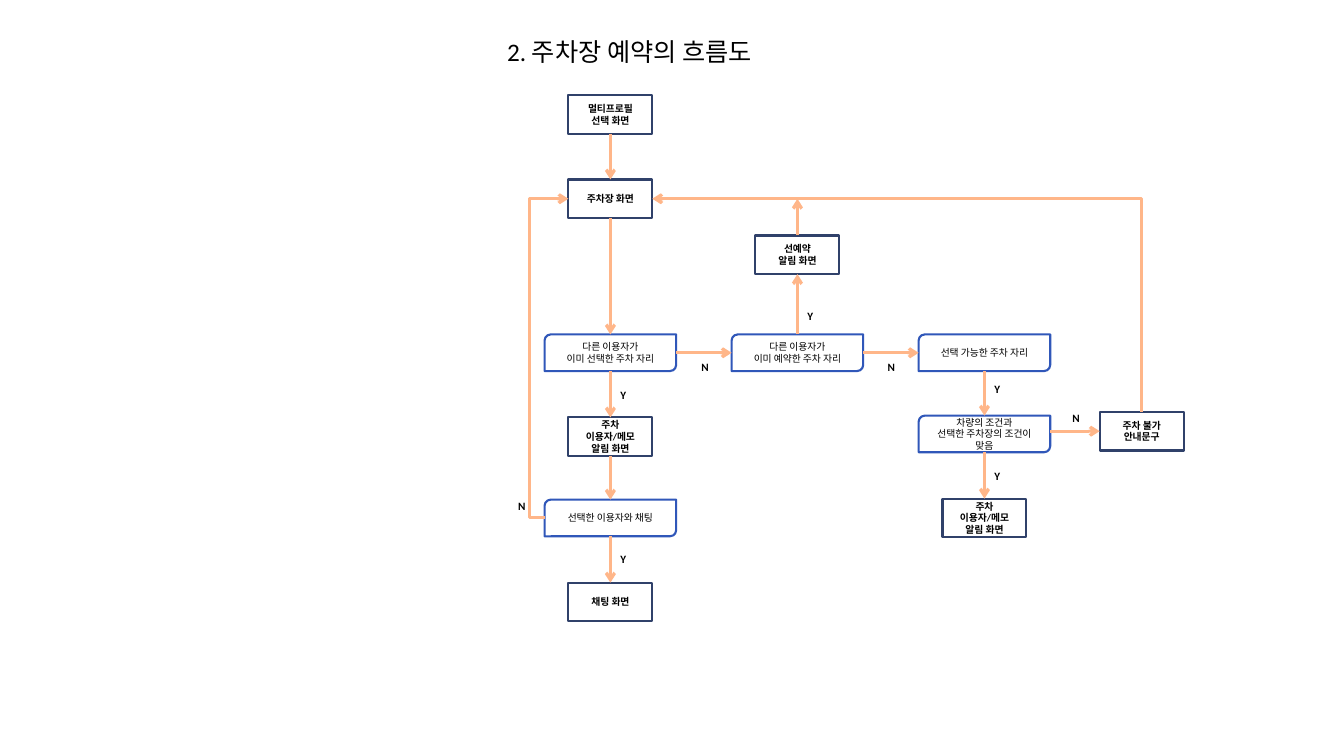
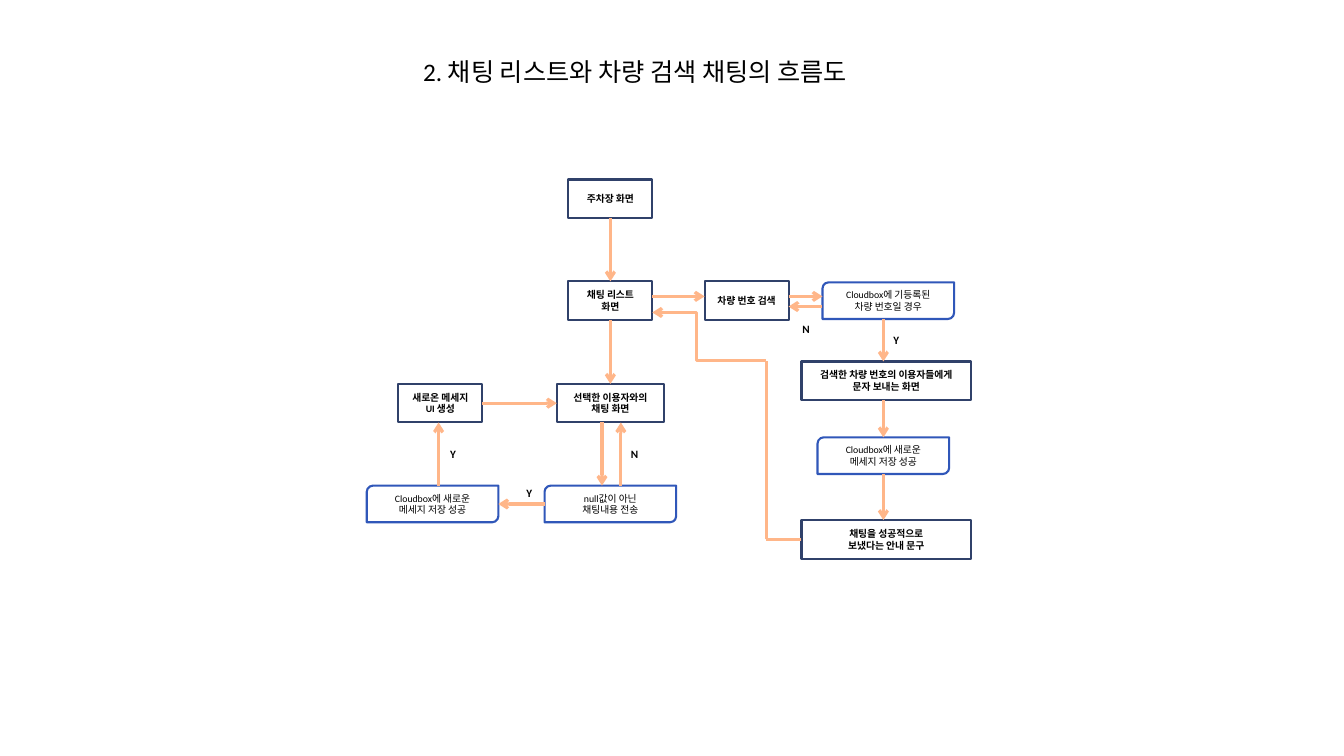
from dataclasses import dataclass

from lxml.etree import SubElement
from pptx import Presentation
from pptx.dml.color import RGBColor
from pptx.enum.shapes import MSO_CONNECTOR, MSO_SHAPE
from pptx.enum.text import MSO_ANCHOR, MSO_AUTO_SIZE, PP_ALIGN
from pptx.oxml.ns import qn
from pptx.util import Pt


@dataclass(frozen=True)
class Theme:
    font: str = "Calibri"
    ink: str = "000000"
    paper: str = "FFFFFF"
    screen_line: str = "30416A"
    decision_line: str = "3057B9"
    arrow: str = "FFB689"
    title_size: float = 18
    node_size: float = 7
    label_size: float = 8
    outline: float = 1.5
    arrow_width: float = 2.25


# Each side: share of width, share of height
SIDES = {"t": (0.5, 0), "l": (0, 0.5), "b": (0.5, 1), "r": (1, 0.5)}
# Order of the connection sites on each preset
SITES = {MSO_SHAPE.RECTANGLE: "tlbr", MSO_SHAPE.ROUND_2_DIAG_RECTANGLE: "rblt"}


def side_point(sp, side):
    fx, fy = SIDES[side]
    return (sp.left + sp.width * fx) / Pt(1), (sp.top + sp.height * fy) / Pt(1)


class FlowSlide:
    def __init__(self, prs, theme):
        self.theme = theme
        self.s = prs.slides.add_slide(prs.slide_layouts[5])

    def set_text(self, tf, text, size, bold=False, align=PP_ALIGN.LEFT):
        fmt = {"name": self.theme.font, "size": Pt(size), "bold": bold}
        for i, line in enumerate(text.split("\n")):
            p = tf.paragraphs[0] if i == 0 else tf.add_paragraph()
            p.alignment = align
            r = p.add_run()
            r.text = line
            for key, value in fmt.items():
                setattr(r.font, key, value)
            r.font.color.rgb = RGBColor.from_string(self.theme.ink)

    def title(self, text, x, y, w):
        sp = self.s.shapes.title
        box = {"left": x, "top": y, "width": w, "height": 29}
        for key, value in box.items():
            setattr(sp, key, Pt(value))
        frame = {"word_wrap": True, "auto_size": MSO_AUTO_SIZE.NONE,
                 "vertical_anchor": MSO_ANCHOR.TOP}
        for key, value in frame.items():
            setattr(sp.text_frame, key, value)
        self.set_text(sp.text_frame, text, self.theme.title_size)

    def node(self, kind, text, cx, cy, w, h, line, bold):
        sp = self.s.shapes.add_shape(
            kind, Pt(cx - w / 2), Pt(cy - h / 2), Pt(w), Pt(h))
        sp.shadow.inherit = False
        sp.fill.solid()
        sp.fill.fore_color.rgb = RGBColor.from_string(self.theme.paper)
        sp.line.color.rgb = RGBColor.from_string(line)
        sp.line.width = Pt(self.theme.outline)
        tf = sp.text_frame
        tf.word_wrap = True
        tf.vertical_anchor = MSO_ANCHOR.MIDDLE
        self.set_text(tf, text, self.theme.node_size, bold, PP_ALIGN.CENTER)
        return sp

    def screen(self, text, cx, cy, w=60):
        return self.node(MSO_SHAPE.RECTANGLE, text, cx, cy, w, 27.6,
                         self.theme.screen_line, True)

    def decision(self, text, cx, cy):
        return self.node(MSO_SHAPE.ROUND_2_DIAG_RECTANGLE, text, cx, cy, 94, 26.2,
                         self.theme.decision_line, False)

    def label(self, text, x, y):
        sp = self.s.shapes.add_textbox(Pt(x), Pt(y), Pt(18.7), Pt(16.6))
        sp.text_frame.word_wrap = False
        self.set_text(sp.text_frame, text, self.theme.label_size, True)

    def arrow(self, start, end, bend=None, head=True):
        """Draw a straight line, or an elbow that turns at the share `bend`."""
        kind = MSO_CONNECTOR.STRAIGHT if bend is None else MSO_CONNECTOR.ELBOW
        cx = self.s.shapes.add_connector(kind, *(Pt(v) for v in (*start, *end)))
        cx.line.color.rgb = RGBColor.from_string(self.theme.arrow)
        cx.line.width = Pt(self.theme.arrow_width)
        spPr = cx._element.spPr
        if head:
            SubElement(spPr.find(qn("a:ln")), qn("a:tailEnd"), type="arrow")
        SubElement(spPr, qn("a:effectLst"))
        if bend is not None:
            SubElement(spPr.find(".//" + qn("a:avLst")), qn("a:gd"),
                       name="adj1", fmla=f"val {round(bend * 100000)}")
        return cx

    def link(self, a, side_a, b, side_b, bend=None, along=None):
        """Join two nodes; `along` moves the arrow off the middle of their sides."""
        start, end = side_point(a, side_a), side_point(b, side_b)
        if along is not None:
            if side_a in "tb":
                start, end = (along, start[1]), (along, end[1])
            else:
                start, end = (start[0], along), (end[0], along)
        cx = self.arrow(start, end, bend)
        if along is None:
            cx.begin_connect(a, SITES[a.auto_shape_type].index(side_a))
            cx.end_connect(b, SITES[b.auto_shape_type].index(side_b))
            ends = zip(("begin_x", "begin_y", "end_x", "end_y"), (*start, *end))
            for key, value in ends:
                setattr(cx, key, Pt(value))


def parking_flow(s):
    s.title("2. 주차장 예약의 흐름도", 355, 22.3, 245)
    left, mid, right = (436 + 133.6 * i for i in range(3))

    # Screens and decisions
    profile = s.screen("멀티프로필\n선택 화면", left, 82)
    parking = s.screen("주차장 화면", left, 142)
    reserved_note = s.screen("선예약\n알림 화면", mid, 182)
    selected = s.decision("다른 이용자가\n이미 선택한 주차 자리", left, 252)
    reserved = s.decision("다른 이용자가\n이미 예약한 주차 자리", mid, 252)
    free = s.decision("선택 가능한 주차 자리", right, 252)
    memo = "주차 이용자/메모 알림 화면"
    owner_memo = s.screen(memo, left, 312)
    matches = s.decision("차량의 조건과\n선택한 주차장의 조건이 맞음", right, 310)
    refused = s.screen("주차 불가\n안내문구", 815.5, 308)
    ask_chat = s.decision("선택한 이용자와 채팅", left, 370)
    own_memo = s.screen(memo, right, 370)
    chat = s.screen("채팅 화면", left, 430)

    # Arrows
    for a, b in ((profile, parking), (parking, selected), (selected, owner_memo),
                 (owner_memo, ask_chat), (ask_chat, chat), (free, matches),
                 (matches, own_memo)):
        s.link(a, "b", b, "t")
    for a, b in ((selected, reserved), (reserved, free)):
        s.link(a, "r", b, "l")
    s.link(matches, "r", refused, "l", along=308)
    s.link(reserved, "t", reserved_note, "b")
    s.arrow(side_point(reserved_note, "t"), (mid, 142))
    s.link(refused, "t", parking, "r", bend=0)
    s.link(ask_chat, "l", parking, "l", bend=-0.65)

    # Answers
    for x, y in ((left, 273.6), (left, 391), (mid, 217.5), (right, 269.5),
                 (right, 332)):
        s.label("Y", x, y)
    for x, y in ((494, 253.5), (627, 253.5), (759, 290), (363, 353)):
        s.label("N", x, y)


def chat_flow(s):
    s.title("2. 채팅 리스트와 차량 검색 채팅의 흐름도", 295, 36.7, 370)
    main_x, side_x, wide = 436, 631, 121

    # Screens and decisions
    parking = s.screen("주차장 화면", main_x, 142)
    chats = s.screen("채팅 리스트\n화면", main_x, 214.8)
    chat = s.screen("선택한 이용자와의 채팅 화면", main_x, 288, 76.5)
    not_null = s.decision("null값이 아닌\n채팅내용 전송", main_x, 360)
    saved = "Cloudbox에 새로운\n메세지 저장 성공"
    chat_saved = s.decision(saved, 309, 360)
    new_message = s.screen("새로온 메세지 UI 생성", 314.5, 288)
    search = s.screen("차량 번호 검색", 533.3, 214.8)
    known = s.decision("Cloudbox에 기등록된\n차량 번호일 경우", 634.5, 214.8)
    compose = s.screen("검색한 차량 번호의 이용자들에게 문자 보내는 화면",
                       633, 272, wide)
    text_saved = s.decision(saved, side_x, 325.5)
    sent = s.screen("채팅을 성공적으로\n보냈다는 안내 문구", 633, 385.3, wide)

    # Arrows
    s.link(parking, "b", chats, "t")
    s.link(chats, "b", chat, "t")
    s.link(chat, "b", not_null, "t", along=430)
    s.link(not_null, "t", chat, "b", along=443.5)
    s.link(not_null, "l", chat_saved, "r")
    s.link(chat_saved, "t", new_message, "b", along=313.3)
    s.link(new_message, "r", chat, "l")
    s.link(chats, "r", search, "l", along=211.7)
    s.link(search, "r", known, "l", along=211.7)
    s.link(known, "l", search, "r", along=219)
    for a, b in ((known, compose), (compose, text_saved), (text_saved, sent)):
        s.link(a, "b", b, "t", along=side_x)

    # Way back from the sent notice to the chat list
    low, high = (547.2, 385.3), (547.2, 257.8)
    s.arrow(side_point(sent, "l"), low, head=False)
    s.arrow(low, high, head=False)
    s.arrow(high, (side_point(chats, "r")[0], 223.2), bend=0.61)

    # Answers
    for x, y in ((369, 343.5), (314.5, 316), (side_x, 234.7)):
        s.label("Y", x, y)
    for x, y in ((443.5, 316), (566, 226.8)):
        s.label("N", x, y)


def main():
    prs = Presentation()
    prs.slide_width, prs.slide_height = Pt(960), Pt(540)
    theme = Theme()
    for build in (parking_flow, chat_flow):
        build(FlowSlide(prs, theme))
    prs.save("out.pptx")


if __name__ == "__main__":
    main()
